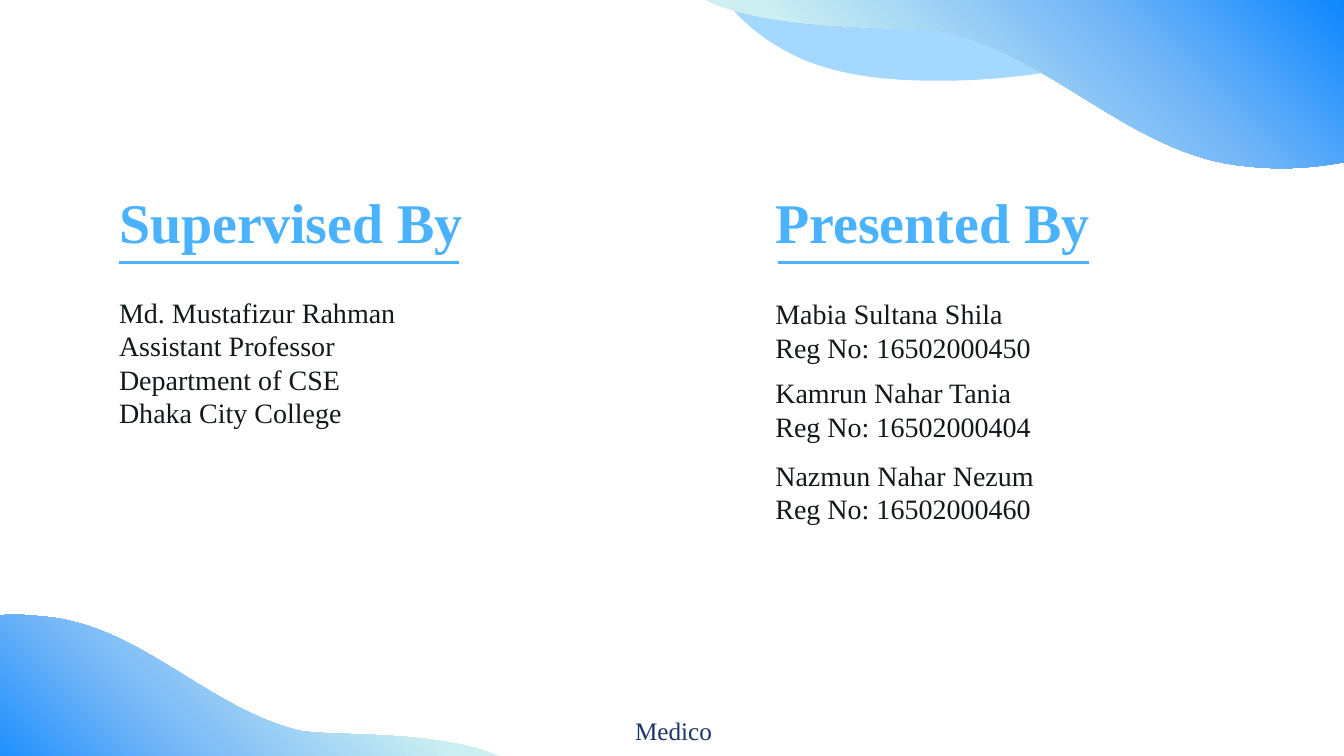
"""Build the credits slide naming the supervisor and the presenters."""
import math

from lxml import etree
from pptx import Presentation
from pptx.dml import color as dml
from pptx.enum import shapes, text as txt
from pptx.oxml import ns
from pptx.util import Cm, Pt

COLORS = {"accent": "4BB2FF", "body": "11191C", "footer": "1C3567",
          "pale": "E5ECEF", "mint": "CBEFF2", "sky": "77B8F7", "blue": "0885FF"}
FONT = "Times New Roman"


def write_text(shape, content, size=20, color="body", bold=False, align="JUSTIFY",
               anchor="MIDDLE", margins=(0.33, 0.33)):
    frame = shape.text_frame
    frame.word_wrap = True
    frame.auto_size = txt.MSO_AUTO_SIZE.NONE
    frame.vertical_anchor = txt.MSO_ANCHOR[anchor]
    frame.margin_left = frame.margin_right = Cm(margins[0])
    frame.margin_top = frame.margin_bottom = Cm(margins[1])
    frame.text = content
    for paragraph in frame.paragraphs:
        paragraph.alignment = txt.PP_ALIGN[align]
        paragraph.line_spacing = 1.0
        font = paragraph.runs[0].font
        font.name, font.size, font.bold = FONT, Pt(size), bold
        font.color.rgb = dml.RGBColor.from_string(COLORS[color])


def draw_wave(slide, frame, rotation, start, segments):
    left, top, width, height = frame
    center_x, center_y = left + width / 2, top + height / 2
    cos, sin = math.cos(math.radians(rotation)), math.sin(math.radians(rotation))
    outline = []
    for segment in [start] + segments:
        points = []
        for x, y in zip(segment[::2], segment[1::2]):
            dx, dy = x - center_x, y - center_y
            points.append((Cm(width / 2 + dx * cos + dy * sin),
                           Cm(height / 2 - dx * sin + dy * cos)))
        outline.append(points)
    builder = slide.shapes.build_freeform(*outline[0][0])
    builder.add_line_segments([points[-1] for points in outline[1:]], close=True)
    shape = builder.convert_to_shape()
    shape.left, shape.top, shape.width, shape.height = map(Cm, frame)
    shape.rotation = rotation
    shape.shadow.inherit = False
    shape.line.fill.background()

    outline_path = shape._element.spPr.find(".//" + ns.qn("a:path"))
    outline_path.set("w", str(shape.width))
    outline_path.set("h", str(shape.height))
    steps = [step for step in outline_path if step.tag != ns.qn("a:close")]
    for step, points in zip(steps, outline):
        tag = "a:cubicBezTo" if len(points) == 3 else step.tag
        command = etree.Element(ns.qn(tag) if len(points) == 3 else tag)
        for x, y in points:
            etree.SubElement(command, ns.qn("a:pt"), x=str(x), y=str(y))
        outline_path.replace(step, command)
    return shape


presentation = Presentation()
presentation.slide_width, presentation.slide_height = Cm(33.87), Cm(19.05)
slide = presentation.slides.add_slide(presentation.slide_layouts[5])

back_wave = draw_wave(slide, (20.14, -7.06, 7.16, 11.79), 259, (17.68, -1.37), [
    (17.73, -1.02, 17.88, -0.69, 18.03, -0.38),
    (18.54, 0.53, 19.46, 1.19, 20.42, 1.57),
    (21.41, 1.93, 22.45, 2.03, 23.52, 2.03),
    (25.76, 2.06, 28.02, 1.63, 30.07, 0.76),
    (29.11, 0.71, 28.17, 0.66, 27.23, 0.53),
    (26.24, 0.38, 25.3, 0.13, 24.36, -0.2),
    (22.71, -0.81, 21.13, -1.63, 19.61, -2.51),
    (19.08, -2.82, 18.06, -3.73, 17.73, -2.77),
    (17.6, -2.34, 17.58, -1.85, 17.68, -1.37)])
back_wave.fill.solid()
back_wave.fill.fore_color.rgb = dml.RGBColor.from_string(COLORS["accent"])
accent = back_wave._element.spPr.find(".//" + ns.qn("a:srgbClr"))
etree.SubElement(accent, ns.qn("a:alpha"), val="50000")

top_wave = draw_wave(slide, (17.42, -0.2, 16.66, 4.44), 0, (34.09, -0.2), [
    (34.09, 4.04),
    (33.5, 4.17, 32.89, 4.24, 32.28, 4.24),
    (32, 4.24, 31.7, 4.22, 31.42, 4.19),
    (28.55, 3.94, 26.57, 1.42, 23.8, 0.81),
    (22.63, 0.61, 19.08, 0.86, 17.42, -0.2)])
bottom_wave = draw_wave(slide, (-1.12, 15.49, 14.12, 3.78), 180, (-1.12, 19.28), [
    (-1.12, 15.67),
    (-0.61, 15.54, -0.1, 15.49, 0.41, 15.49),
    (0.66, 15.49, 0.89, 15.52, 1.14, 15.54),
    (3.56, 15.77, 5.26, 17.88, 7.59, 18.42),
    (8.59, 18.57, 11.61, 18.36, 12.98, 19.28)])

for wave in (top_wave, bottom_wave):
    wave.fill.gradient()
    wave.fill.gradient_angle = 45
    stop_list = wave._element.spPr.find(".//" + ns.qn("a:gsLst"))
    stop_list.clear()
    for position, name in ((0, "pale"), (28, "mint"), (66, "sky"), (100, "blue")):
        stop = etree.SubElement(stop_list, ns.qn("a:gs"), pos=str(position * 1000))
        etree.SubElement(stop, ns.qn("a:srgbClr"), val=COLORS[name])

LEFT, RIGHT, WIDTH = 2.67, 19.21, 14.27
HEADING = {"size": 40, "color": "accent", "bold": True}
title = slide.shapes.title
title.left, title.top, title.width, title.height = map(Cm, (LEFT, 4.5, WIDTH, 2.13))
write_text(title, "Supervised By", **HEADING)

boxes = [
    (LEFT, 7.29, WIDTH, 3.68,
     "Md. Mustafizur Rahman\nAssistant Professor\nDepartment of CSE\nDhaka City College", {}),
    (RIGHT, 4.5, WIDTH, 2.13, "Presented By", HEADING),
    (RIGHT, 7.29, WIDTH, 2.08, "Mabia Sultana Shila\nReg No: 16502000450", {}),
    (RIGHT, 9.27, WIDTH, 2.08, "Kamrun Nahar Tania\nReg No: 16502000404", {}),
    (RIGHT, 11.35, WIDTH, 2.08, "Nazmun Nahar Nezum\nReg No: 16502000460", {}),
    (10.42, 17.9, 13.11, 1.02, "Medico",
     {"size": 18, "color": "footer", "align": "CENTER", "anchor": "TOP",
      "margins": (0.25, 0.13)}),
]
for left, top, width, height, content, style in boxes:
    box = slide.shapes.add_textbox(Cm(left), Cm(top), Cm(width), Cm(height))
    write_text(box, content, **style)

for start, end in ((3, 11.56), (19.61, 27.45)):
    underline = slide.shapes.add_connector(
        shapes.MSO_CONNECTOR.STRAIGHT, Cm(start), Cm(6.62), Cm(end), Cm(6.62))
    underline.line.color.rgb = dml.RGBColor.from_string(COLORS["accent"])
    underline.line.width = Pt(2.25)
    etree.SubElement(underline._element.spPr, ns.qn("a:effectLst"))

presentation.save("out.pptx")
